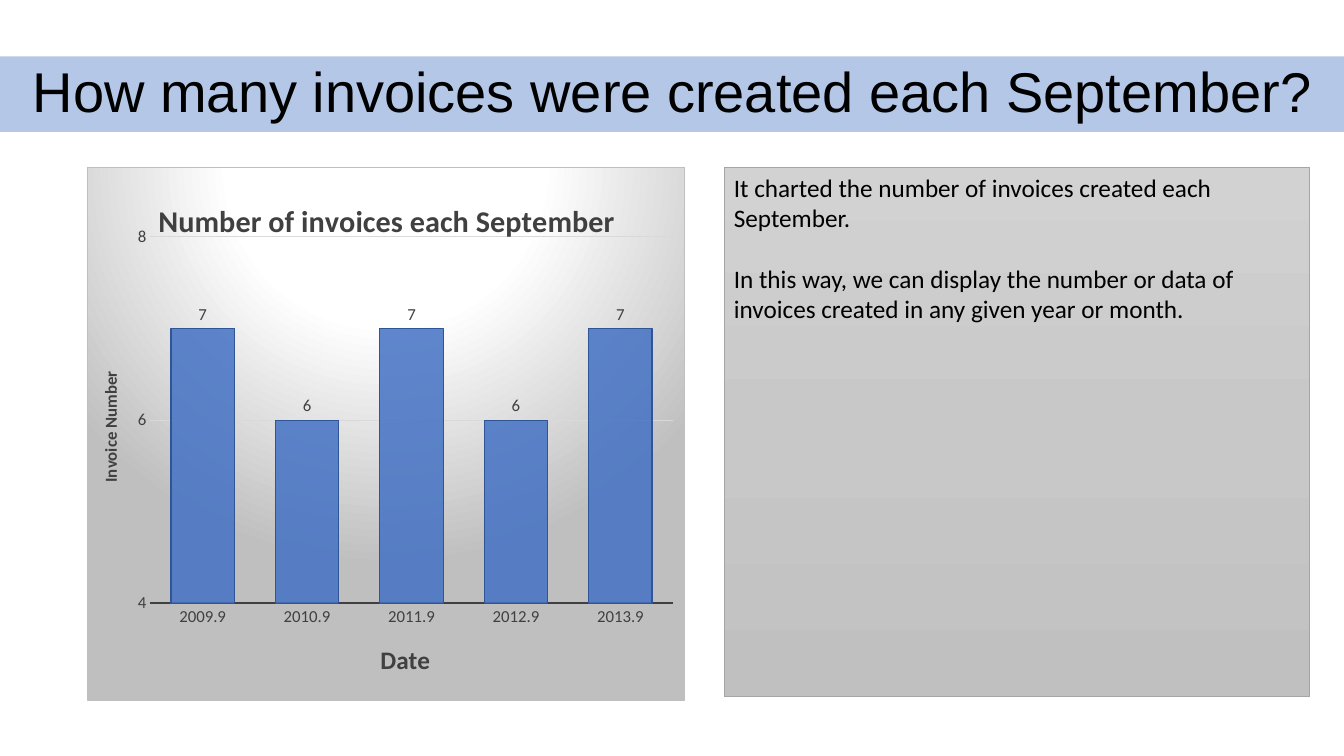
"""Build a slide with a column chart of September invoices and a comment panel."""
import pptx
import pptx.chart.data
import pptx.dml.color
import pptx.enum.chart
import pptx.enum.shapes
import pptx.enum.text
import pptx.oxml
import pptx.oxml.ns
import pptx.util

NAMESPACES = pptx.oxml.ns.nsdecls("a", "c")
qn = pptx.oxml.ns.qn
Pt = pptx.util.Pt
Inches = pptx.util.Inches


def paint(color_format, hex_color):
    color_format.rgb = pptx.dml.color.RGBColor.from_string(hex_color)


def place(parent, index, target, shares):
    for layout in parent.findall(qn("c:layout")):
        parent.remove(layout)
    modes = "".join(f'<c:{side}Mode val="edge"/>' for side in "xy")
    values = "".join(f'<c:{side} val="{share}"/>' for side, share in zip("xywh", shares))
    parent.insert(index, pptx.oxml.parse_xml(
        f"<c:layout {NAMESPACES}><c:manualLayout>{target}{modes}{values}</c:manualLayout></c:layout>"))


presentation = pptx.Presentation()
presentation.slide_width, presentation.slide_height = Inches(13.33), Inches(7.5)
slide = presentation.slides.add_slide(presentation.slide_layouts[5])

chart_data = pptx.chart.data.CategoryChartData(number_format="#,##0")
chart_data.categories = [f"{year}.9" for year in range(2009, 2014)]
chart_data.add_series("Series 1", (7, 6, 7, 6, 7))
chart = slide.shapes.add_chart(
    pptx.enum.chart.XL_CHART_TYPE.COLUMN_CLUSTERED,
    Inches(0.86), Inches(1.66), Inches(5.93), Inches(5.29), chart_data).chart
chart.has_legend = False
chart.font.name = "Calibri"
chart.font.size = Pt(12)
paint(chart.font.color, "404040")

category_axis, value_axis = chart.category_axis, chart.value_axis
for titled, text, size in ((chart.chart_title, "Number of invoices each September", 21.6),
                           (category_axis.axis_title, "Date", 18),
                           (value_axis.axis_title, "Invoice Number", 12)):
    titled.text_frame.text = text
    font = titled.text_frame.paragraphs[0].runs[0].font
    font.name, font.size, font.bold = "Calibri", Pt(size), True
    paint(font.color, "404040")
for axis in (category_axis, value_axis):
    axis.major_tick_mark = axis.minor_tick_mark = pptx.enum.chart.XL_TICK_MARK.NONE
    axis.tick_labels.font.size = Pt(12)
category_axis.format.line.width = Pt(1.5)
paint(category_axis.format.line.color, "404040")
value_axis.minimum_scale, value_axis.maximum_scale, value_axis.major_unit = 4, 8, 2
value_axis.format.line.fill.background()
value_axis.major_gridlines.format.line.width = Pt(0.75)
paint(value_axis.major_gridlines.format.line.color, "D9D9D9")

plot = chart.plots[0]
plot.gap_width = 65
plot.vary_by_categories = False
plot.has_data_labels = True
plot.data_labels.show_value = True
plot.data_labels.position = pptx.enum.chart.XL_LABEL_POSITION.OUTSIDE_END
plot.data_labels.font.size = Pt(12)
paint(plot.data_labels.font.color, "404040")
columns = plot.series[0].format
columns.fill.solid()
paint(columns.fill.fore_color, "4472C4")
columns.line.width = Pt(0.75)
paint(columns.line.color, "2F5597")
column_color = next(plot.series[0]._element.iter(qn("a:srgbClr")))
column_color.append(pptx.oxml.parse_xml(f'<a:alpha {NAMESPACES} val="85000"/>'))

place(chart.chart_title._element, 1, "", (0.11, 0.05))
place(next(chart._chartSpace.iter(qn("c:plotArea"))), 0,
      '<c:layoutTarget val="inner"/>', (0.106, 0.13, 0.875, 0.688))
chart_frame = pptx.oxml.parse_xml(
    f'<c:spPr {NAMESPACES}><a:ln w="9525"><a:solidFill><a:srgbClr val="BFBFBF"/></a:solidFill></a:ln></c:spPr>')
chart._chartSpace.find(qn("c:chart")).addnext(chart_frame)

panel = slide.shapes.add_shape(
    pptx.enum.shapes.MSO_SHAPE.RECTANGLE, Inches(7.18), Inches(1.66), Inches(5.81), Inches(5.25))
panel.shadow.inherit = False
panel.line.width = Pt(0.5)
paint(panel.line.color, "A5A5A5")
panel.text_frame.word_wrap = True
panel.text_frame.vertical_anchor = pptx.enum.text.MSO_ANCHOR.TOP
panel.text_frame.text = (
    "It charted the number of invoices created each September.\n"
    "In this way, we can display the number or data of invoices created in any given year or month.")
for paragraph in panel.text_frame.paragraphs:
    paragraph.alignment = pptx.enum.text.PP_ALIGN.LEFT
    font = paragraph.runs[0].font
    font.name, font.size = "Calibri", Pt(18)
    paint(font.color, "000000")
panel.text_frame.paragraphs[1].space_before = Pt(21.6)

for line_element, stops, direction in (
        (chart_frame.find(qn("a:ln")), ((0, "FFFFFF"), (39, "FFFFFF"), (100, "BFBFBF")),
         '<a:path path="circle"><a:fillToRect l="50000" t="-80000" r="50000" b="180000"/></a:path>'),
        (panel._element.spPr.find(qn("a:ln")), ((0, "D2D2D2"), (50, "C8C8C8"), (100, "C0C0C0")),
         '<a:lin ang="5400000" scaled="0"/>')):
    stop_list = "".join(
        f'<a:gs pos="{share * 1000}"><a:srgbClr val="{color}"/></a:gs>' for share, color in stops)
    line_element.addprevious(pptx.oxml.parse_xml(
        f'<a:gradFill {NAMESPACES} rotWithShape="1"><a:gsLst>{stop_list}</a:gsLst>{direction}</a:gradFill>'))

title = slide.shapes.title
title.left, title.top = 0, Inches(0.56)
title.width, title.height = presentation.slide_width, Inches(0.75)
title.fill.solid()
paint(title.fill.fore_color, "B4C7E7")
title.text_frame.text = "How many invoices were created each September?"
title.text_frame.vertical_anchor = pptx.enum.text.MSO_ANCHOR.MIDDLE
title.text_frame.auto_size = pptx.enum.text.MSO_AUTO_SIZE.NONE
heading = title.text_frame.paragraphs[0]
heading.alignment = pptx.enum.text.PP_ALIGN.CENTER
heading.line_spacing = 0.9
heading_run = heading.runs[0]
heading_run.font.name, heading_run.font.size = "Arial", Pt(40)
paint(heading_run.font.color, "000000")
heading_run._r.rPr.find(qn("a:solidFill")).addnext(pptx.oxml.parse_xml(
    f'<a:effectLst {NAMESPACES}><a:outerShdw blurRad="38100" dist="25400" dir="2700000">'
    '<a:srgbClr val="4472C4"/></a:outerShdw></a:effectLst>'))
slide.shapes._spTree.append(title._element)

presentation.save("out.pptx")
